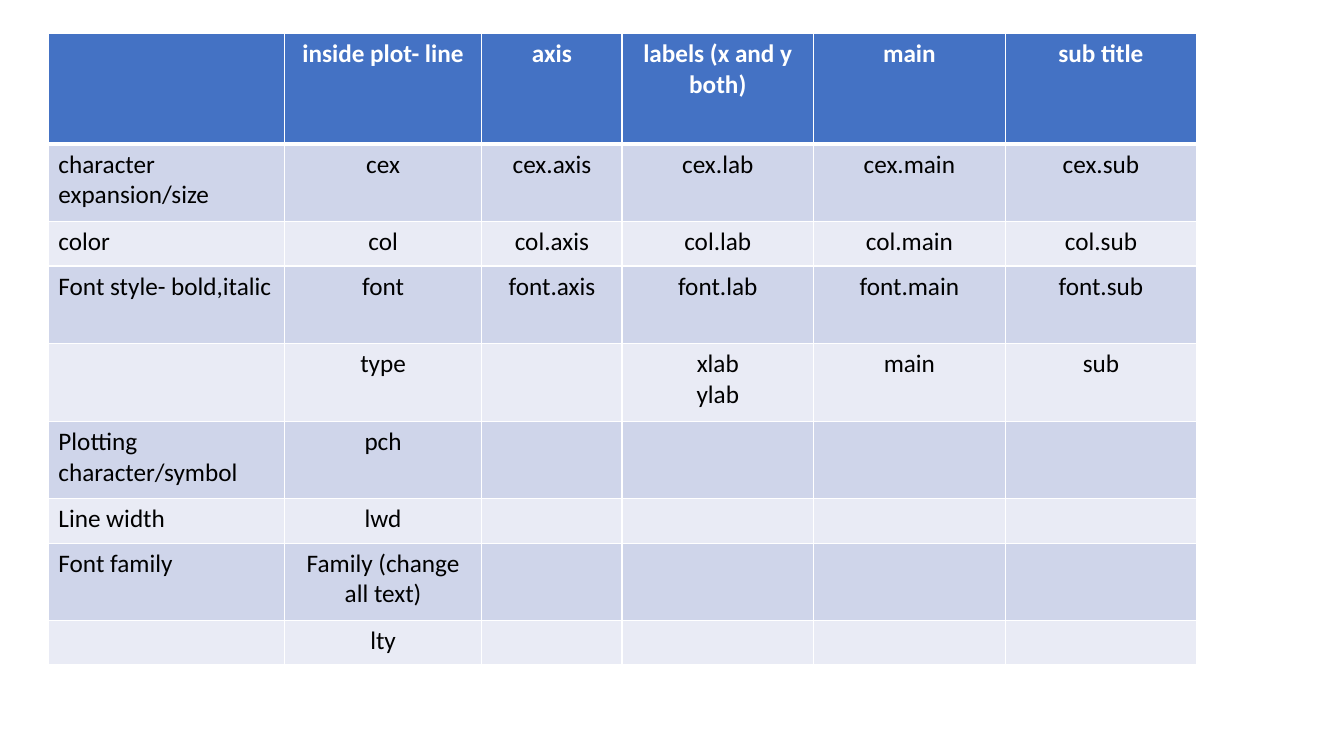
import pptx
import pptx.dml.color
import pptx.enum.text
import pptx.oxml
import pptx.oxml.ns
import pptx.util
from pptx.util import Inches

WIDTHS = [2.34, 1.96, 1.39, 1.9, 1.9, 1.9]
HEAD, TALL, SHORT = 1.1, 0.77, 0.44
ROWS = [
    (HEAD, ["", "inside plot- line", "axis", "labels (x and y both)", "main", "sub title"]),
    (TALL, ["character expansion/size", "cex", "cex.axis", "cex.lab", "cex.main", "cex.sub"]),
    (SHORT, ["color", "col", "col.axis", "col.lab", "col.main", "col.sub"]),
    (TALL, ["Font style- bold,italic", "font", "font.axis", "font.lab", "font.main", "font.sub"]),
    (TALL, ["", "type", "", "xlab\nylab", "main", "sub"]),
    (TALL, ["Plotting character/symbol", "pch", "", "", "", ""]),
    (SHORT, ["Line width", "lwd", "", "", "", ""]),
    (TALL, ["Font family", "Family (change all text)", "", "", "", ""]),
    (SHORT, ["", "lty", "", "", "", ""]),
]
BLUE, DARK, LIGHT = "4472C4", "CFD5EA", "E9EBF5"
WHITE, BLACK = "FFFFFF", "000000"


def color(fmt, value):
    fmt.rgb = pptx.dml.color.RGBColor.from_string(value)


def border(cell, top, bottom):
    """Draw white cell edges; top and bottom are widths in points."""
    props = cell._tc.get_or_add_tcPr()
    for side, width in zip("LRTB", (1, 1, top, bottom)):
        props.append(pptx.oxml.parse_xml(
            f'<a:ln{side} {pptx.oxml.ns.nsdecls("a")} w="{pptx.util.Pt(width)}">'
            f'<a:solidFill><a:srgbClr val="{WHITE}"/></a:solidFill></a:ln{side}>'))


def write(cell, text, head, center):
    cell.text = text
    align = pptx.enum.text.PP_ALIGN
    for para in cell.text_frame.paragraphs:
        para.alignment = align.CENTER if center else align.LEFT
        para.font.name = "Calibri"
        para.font.size = pptx.util.Pt(18)
        para.font.bold = head
        color(para.font.color, WHITE if head else BLACK)


def add_grid(slide, left, top):
    """Place the table of plot settings with its corner at left, top."""
    height = sum(size for size, _ in ROWS)
    table = slide.shapes.add_table(
        len(ROWS), len(WIDTHS), Inches(left), Inches(top),
        Inches(sum(WIDTHS)), Inches(height)).table
    for column, width in zip(table.columns, WIDTHS):
        column.width = Inches(width)
    for i, (size, texts) in enumerate(ROWS):
        table.rows[i].height = Inches(size)
        fill = BLUE if i == 0 else DARK if i % 2 else LIGHT
        for j, text in enumerate(texts):
            cell = table.cell(i, j)
            border(cell, 3 if i == 1 else 1, 3 if i == 0 else 1)
            cell.fill.solid()
            color(cell.fill.fore_color, fill)
            write(cell, text, i == 0, j > 0)


def main():
    deck = pptx.Presentation()
    deck.slide_width, deck.slide_height = Inches(13.33), Inches(7.5)
    blank = deck.slide_layouts[6]
    add_grid(deck.slides.add_slide(blank), 0.48, 0.33)
    deck.save("out.pptx")


if __name__ == "__main__":
    main()
